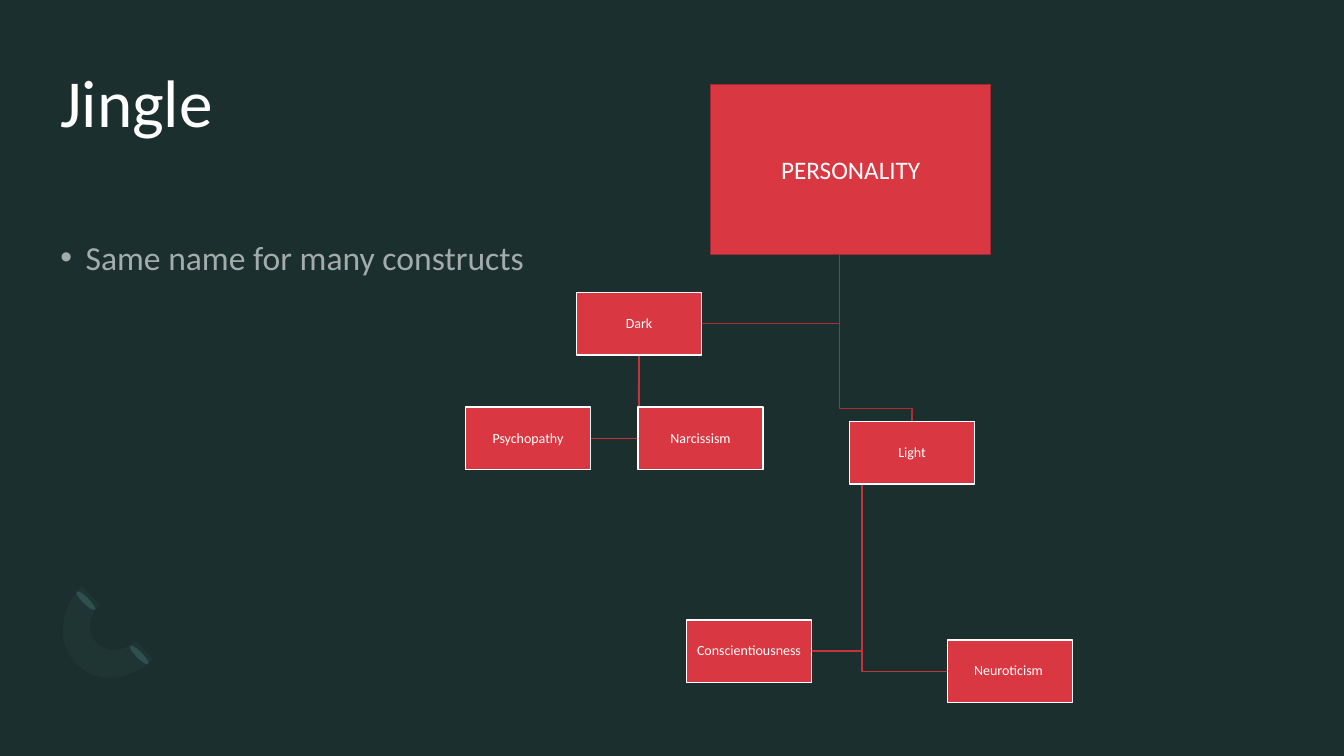
from lxml.etree import SubElement
from pptx import Presentation
from pptx.dml.color import RGBColor
from pptx.enum.shapes import MSO_CONNECTOR, MSO_SHAPE
from pptx.enum.text import MSO_ANCHOR, PP_ALIGN
from pptx.oxml.ns import qn
from pptx.util import Cm, Pt

COLORS = {
    "background": "1B2F2E", "text": "FFFFFF", "box": "D93741",
    "root_edge": "A12930", "branch": "AE2C34", "twig": "C5323B",
    "leaf": "2B4B49", "arc": "75AFAD",
}
NODE_WIDTH, NODE_HEIGHT = 3.15, 1.58
NODES = {
    "Light": (21.41, 10.62),
    "Neuroticism ": (23.88, 16.13),
    "Conscientiousness": (17.3, 15.62),
    "Dark": (14.53, 7.37),
    "Narcissism": (16.08, 10.26),
    "Psychopathy": (11.73, 10.26),
}


def rgb(name):
    return RGBColor.from_string(COLORS[name])


def set_opacity(fill_parent, percent):
    color = fill_parent.find(f"{qn('a:solidFill')}/{qn('a:srgbClr')}")
    SubElement(color, qn("a:alpha"), val=str(percent * 1000))


def write_text(frame, text, size, align=PP_ALIGN.LEFT, anchor=MSO_ANCHOR.TOP,
               margin=0, spacing=1.0, opacity=None):
    frame.word_wrap = True
    frame.vertical_anchor = anchor
    frame.margin_left = frame.margin_right = Cm(margin)
    frame.margin_top = frame.margin_bottom = Cm(margin)
    paragraph = frame.paragraphs[0]
    paragraph.alignment = align
    paragraph.line_spacing = spacing
    run = paragraph.add_run()
    run.text = text
    run.font.name = "Calibri"
    run.font.size = Pt(size)
    run.font.color.rgb = rgb("text")
    if opacity is not None:
        set_opacity(run.font._element, opacity)
    return paragraph


def curve(start, first, second, end, steps=8):
    """Return points along a cubic Bézier curve."""
    points = []
    for step in range(steps + 1):
        t = step / steps
        weights = ((1 - t) ** 3, 3 * t * (1 - t) ** 2, 3 * t * t * (1 - t), t ** 3)
        points.append(tuple(
            sum(weight * value for weight, value in zip(weights, axis))
            for axis in zip(start, first, second, end)))
    return points


class SlideBuilder:
    def __init__(self, presentation):
        self.slide = presentation.slides.add_slide(presentation.slide_layouts[5])
        self.shapes = self.slide.shapes
        self.slide.background.fill.solid()
        self.slide.background.fill.fore_color.rgb = rgb("background")

    def title(self, text, left, top, width, height):
        title = self.shapes.title
        title.left, title.top = Cm(left), Cm(top)
        title.width, title.height = Cm(width), Cm(height)
        write_text(title.text_frame, text, 48)

    def bullet(self, text, left, top, width, height):
        body = self.shapes.add_textbox(Cm(left), Cm(top), Cm(width), Cm(height))
        paragraph = write_text(body.text_frame, text, 24, spacing=1.1, opacity=60)
        paragraph.space_before, paragraph.space_after = Pt(10), Pt(8)
        properties = paragraph._p.get_or_add_pPr()
        properties.set("marL", str(Cm(0.64)))
        properties.set("indent", str(-Cm(0.64)))
        SubElement(properties, qn("a:buFont"), typeface="Arial")
        SubElement(properties, qn("a:buChar"), char="•")

    def shape(self, kind, left, top, width, height, fill, edge=None):
        shape = self.shapes.add_shape(kind, Cm(left), Cm(top), Cm(width), Cm(height))
        shape.shadow.inherit = False
        shape.fill.solid()
        shape.fill.fore_color.rgb = rgb(fill)
        if edge:
            shape.line.color.rgb = rgb(edge)
            shape.line.width = Pt(1)
        else:
            shape.line.fill.background()
        return shape

    def box(self, text, left, top, width, height, size, edge, **style):
        box = self.shape(MSO_SHAPE.RECTANGLE, left, top, width, height, "box", edge)
        write_text(box.text_frame, text, size, align=PP_ALIGN.CENTER,
                   anchor=MSO_ANCHOR.MIDDLE, **style)

    def leaf(self, left, top):
        self.shape(MSO_SHAPE.OVAL, left, top, 0.16, 0.65, "leaf").rotation = 135

    def outline(self, points, close):
        points = [(Cm(x), Cm(y)) for x, y in points]
        builder = self.shapes.build_freeform(*points[0])
        builder.add_line_segments(points[1:], close=close)
        outline = builder.convert_to_shape()
        outline.shadow.inherit = False
        return outline

    def arc(self, points, opacity):
        arc = self.outline(points, close=True)
        arc.fill.solid()
        arc.fill.fore_color.rgb = rgb("arc")
        set_opacity(arc._element.spPr, opacity)
        arc.line.fill.background()

    def link(self, color, *points):
        """Draw a straight connector, or an open outline where the link bends."""
        if len(points) == 2:
            ends = [Cm(value) for point in points for value in point]
            link = self.shapes.add_connector(MSO_CONNECTOR.STRAIGHT, *ends)
            SubElement(link._element.spPr, qn("a:effectLst"))
        else:
            link = self.outline(points, close=False)
            link.fill.background()
        link.line.color.rgb = rgb(color)
        link.line.width = Pt(1)


def draw_links(page):
    def center(name):
        left, top = NODES[name]
        return left + NODE_WIDTH / 2, top + NODE_HEIGHT / 2

    def right(name):
        return NODES[name][0] + NODE_WIDTH, center(name)[1]

    def left(name):
        return NODES[name][0], center(name)[1]

    def bottom(name):
        return center(name)[0], NODES[name][1] + NODE_HEIGHT

    def elbow(color, start, end):
        page.link(color, start, (start[0], end[1]), end)

    trunk = (21.16, 5.33)
    spine = (NODES["Light"][0] + NODE_WIDTH / 10, bottom("Light")[1])
    light_x, light_top = center("Light")[0], NODES["Light"][1]
    bend = light_top - 0.33

    elbow("twig", bottom("Dark"), right("Psychopathy"))
    page.link("twig", bottom("Dark"), left("Narcissism"))
    elbow("branch", trunk, right("Dark"))
    elbow("twig", spine, right("Conscientiousness"))
    elbow("twig", spine, left("Neuroticism "))
    page.link("branch", trunk, (trunk[0], bend), (light_x, bend), (light_x, light_top))


def main():
    presentation = Presentation()
    presentation.slide_width, presentation.slide_height = Cm(33.87), Cm(19.05)
    page = SlideBuilder(presentation)

    page.leaf(3.43, 16.18)
    page.leaf(2.08, 14.81)
    outer = curve((1.93, 16.74), (1.42, 16.23), (1.47, 15.37), (2.06, 14.78))
    inner = curve((2.51, 15.24), (2.21, 15.52), (2.18, 15.98), (2.44, 16.21))
    inner_end = curve((2.44, 16.21), (2.69, 16.46), (3.12, 16.43), (3.43, 16.15))
    outer_end = curve((3.86, 16.61), (3.3, 17.17), (2.41, 17.25), (1.93, 16.74))
    page.arc(outer + inner + inner_end[1:] + outer_end[:-1], opacity=5)

    page.title("Jingle", 1.52, 1.52, 30.81, 3.71)
    page.bullet("Same name for many constructs", 1.52, 5.87, 30.81, 11.05)
    draw_links(page)
    for name, (left, top) in NODES.items():
        page.box(name, left, top, NODE_WIDTH, NODE_HEIGHT, 10, "text",
                 margin=0.02, spacing=0.9)
    page.box("PERSONALITY", 17.91, 2.13, 7.06, 4.29, 18, "root_edge", margin=0.2)

    presentation.save("out.pptx")


if __name__ == "__main__":
    main()
